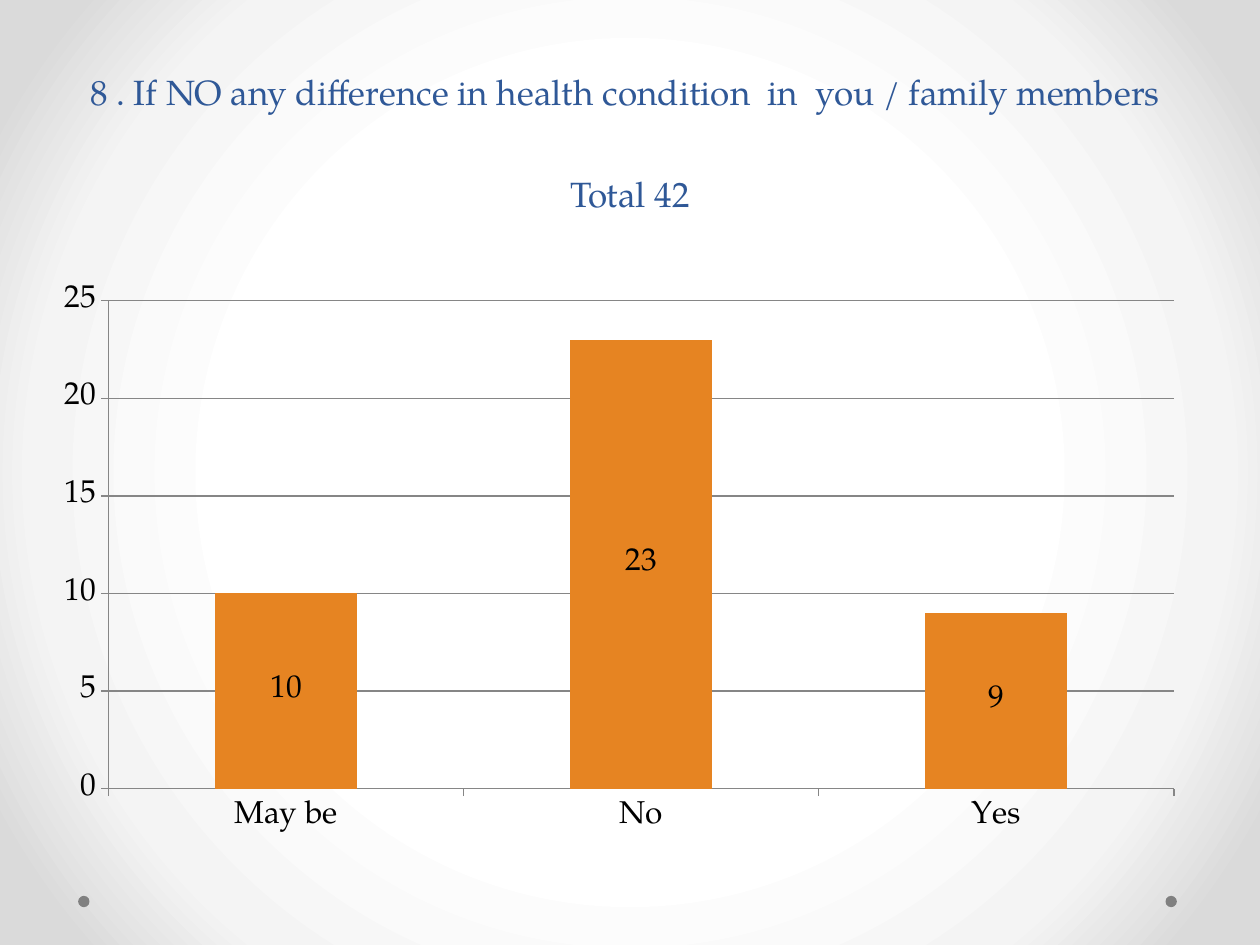
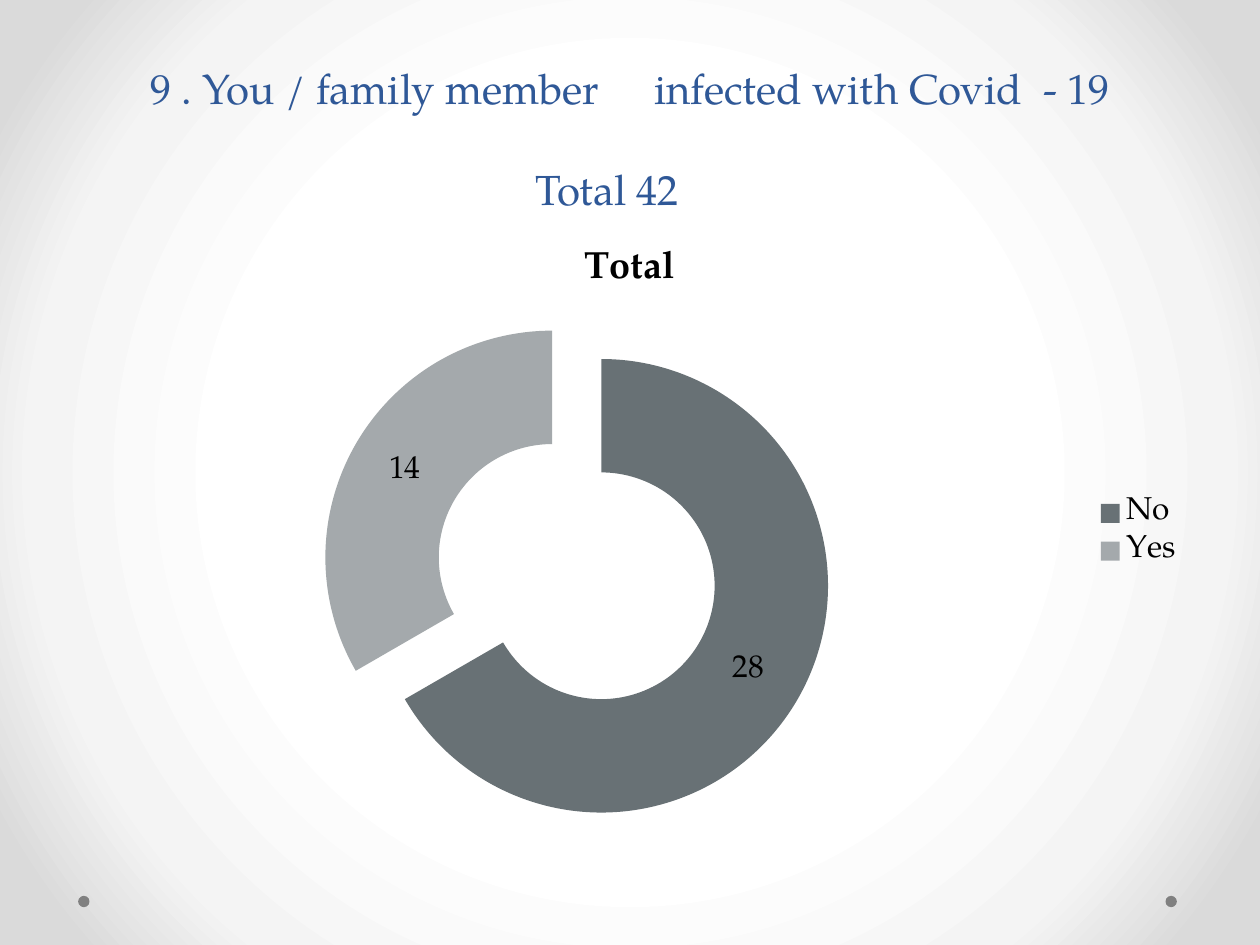
from pptx import Presentation
from pptx.chart.data import CategoryChartData
from pptx.dml.color import RGBColor
from pptx.enum.chart import XL_CHART_TYPE, XL_LEGEND_POSITION, XL_TICK_MARK
from pptx.enum.shapes import MSO_SHAPE
from pptx.enum.text import MSO_ANCHOR, MSO_AUTO_SIZE, PP_ALIGN
from pptx.oxml import parse_xml
from pptx.oxml.ns import nsdecls, qn
from pptx.util import Inches, Pt

FONT = "TeX Gyre Pagella"
TITLE_BLUE = RGBColor(0x2F, 0x58, 0x97)
BLACK = RGBColor(0, 0, 0)
DOT_GREY = RGBColor(0x80, 0x80, 0x80)
AXIS_GREY = RGBColor(0x86, 0x86, 0x86)
ORANGE = RGBColor(0xE6, 0x84, 0x22)
SLATE = RGBColor(0x68, 0x71, 0x75)
SILVER = RGBColor(0xA4, 0xA9, 0xAC)
GLOW_STOPS = [
    (50, RGBColor(0xFF, 0xFF, 0xFF)),
    (76, RGBColor(0xF4, 0xF4, 0xF4)),
    (92, RGBColor(0xDA, 0xDA, 0xDA)),
]

TITLE_BOX = (0.5, 0, 9, 1.75)
DOT_LEFTS = (0.62, 9.25)
DOT_TOP, DOT_SIZE = 7.11, 0.09


def inches(box):
    return [Inches(length) for length in box]


def style_background(master):
    master.background.fill.gradient()
    gradient = master.element.cSld.find(".//" + qn("a:gradFill"))
    stops = "".join(
        f'<a:gs pos="{share * 1000}"><a:srgbClr val="{colour}"/></a:gs>'
        for share, colour in GLOW_STOPS
    )
    gradient.getparent().replace(gradient, parse_xml(
        f'<a:gradFill {nsdecls("a")} rotWithShape="1"><a:gsLst>{stops}</a:gsLst>'
        '<a:path path="circle"><a:fillToRect l="50000" t="50000" r="50000" b="50000"/>'
        "</a:path></a:gradFill>"
    ))


def move_dots_to_master(slide, master):
    for left in DOT_LEFTS:
        dot = slide.shapes.add_shape(
            MSO_SHAPE.OVAL, *inches((left, DOT_TOP, DOT_SIZE, DOT_SIZE)))
        dot.shadow.inherit = False
        dot.fill.solid()
        dot.fill.fore_color.rgb = DOT_GREY
        dot.line.fill.background()
        master.element.cSld.spTree.append(dot.element)


def add_question(deck, question, size):
    slide = deck.slides.add_slide(deck.slide_layouts.get_by_name("Title Only"))
    title = slide.shapes.title
    title.left, title.top, title.width, title.height = inches(TITLE_BOX)
    frame = title.text_frame
    frame.text = question
    frame.auto_size = MSO_AUTO_SIZE.NONE
    frame.vertical_anchor = MSO_ANCHOR.BOTTOM
    heading = frame.paragraphs[0]
    heading.alignment = PP_ALIGN.CENTER
    heading.line_spacing = Pt(58)
    heading.font.name = FONT
    heading.font.size = Pt(size)
    heading.font.color.rgb = TITLE_BLUE
    return slide


def add_answers(slide, kind, box, series_name, answers):
    data = CategoryChartData()
    data.categories = list(answers)
    data.add_series(series_name, list(answers.values()))
    chart = slide.shapes.add_chart(kind, *inches(box), data).chart
    chart.font.name = FONT
    chart.font.size = Pt(18)
    chart.font.color.rgb = BLACK
    plot = chart.plots[0]
    plot.has_data_labels = True
    plot.data_labels.show_value = True
    plot.data_labels.show_percentage = False
    return chart


def add_answer_columns(slide, box, answers):
    chart = add_answers(slide, XL_CHART_TYPE.COLUMN_STACKED, box, "Series 1", answers)
    chart.has_title = False
    chart.has_legend = False
    plot = chart.plots[0]
    plot.gap_width = 150
    plot.overlap = 100
    plot.vary_by_categories = False
    columns = plot.series[0].format.fill
    columns.solid()
    columns.fore_color.rgb = ORANGE
    for axis in (chart.category_axis, chart.value_axis):
        axis.major_tick_mark = XL_TICK_MARK.OUTSIDE
        axis.minor_tick_mark = XL_TICK_MARK.NONE
        axis.format.line.color.rgb = AXIS_GREY
    counts = chart.value_axis
    counts.minimum_scale, counts.maximum_scale, counts.major_unit = 0, 25, 5
    counts.has_major_gridlines = True
    counts.major_gridlines.format.line.color.rgb = AXIS_GREY


def add_answer_ring(slide, box, answers, colours):
    chart = add_answers(slide, XL_CHART_TYPE.DOUGHNUT_EXPLODED, box, "Total", answers)
    chart.has_title = True
    chart.chart_title.text_frame.text = "Total"
    chart.chart_title.include_in_layout = False
    caption = chart.chart_title.text_frame.paragraphs[0].font
    caption.name = FONT
    caption.size = Pt(21.6)
    caption.bold = True
    caption.color.rgb = BLACK
    chart.has_legend = True
    chart.legend.position = XL_LEGEND_POSITION.RIGHT
    chart.legend.include_in_layout = False
    plot = chart.plots[0]
    plot.vary_by_categories = True
    for index, colour in enumerate(colours):
        segment = plot.series[0].points[index].format.fill
        segment.solid()
        segment.fore_color.rgb = colour


deck = Presentation()
deck.slide_width, deck.slide_height = Inches(10), Inches(7.5)
style_background(deck.slide_master)

health = add_question(
    deck,
    "8 . If NO any difference in health condition  in  you / family members \vTotal 42",
    20,
)
move_dots_to_master(health, deck.slide_master)
add_answer_columns(health, (0.33, 2.17, 9.17, 4.53), {"May be": 10, "No": 23, "Yes": 9})

infection = add_question(
    deck, "9 . You / family member \tinfected with Covid  - 19\vTotal 42\t", 24)
add_answer_ring(infection, (0.5, 1.75, 9, 4.95), {"No": 28, "Yes": 14}, (SLATE, SILVER))

deck.save("out.pptx")
